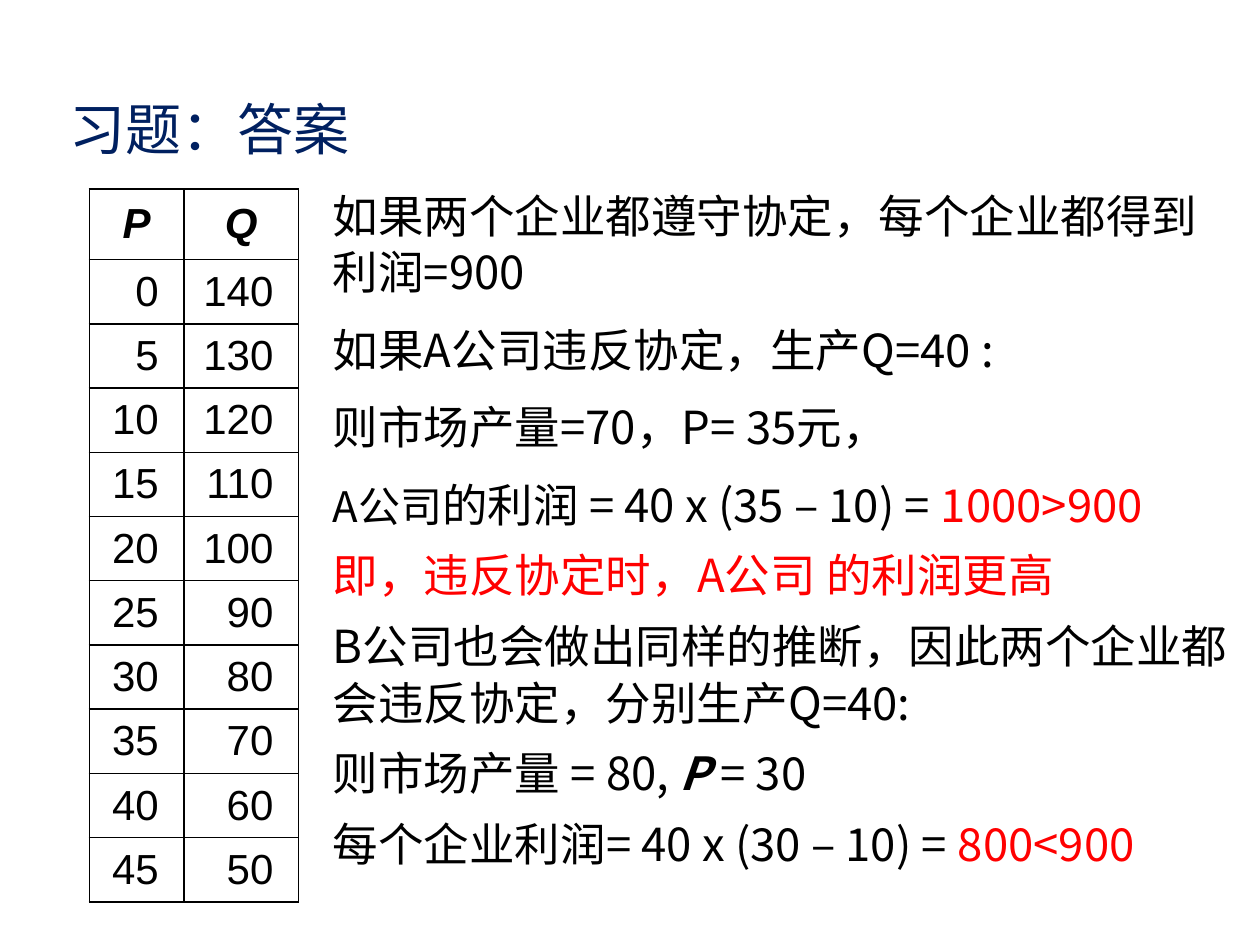
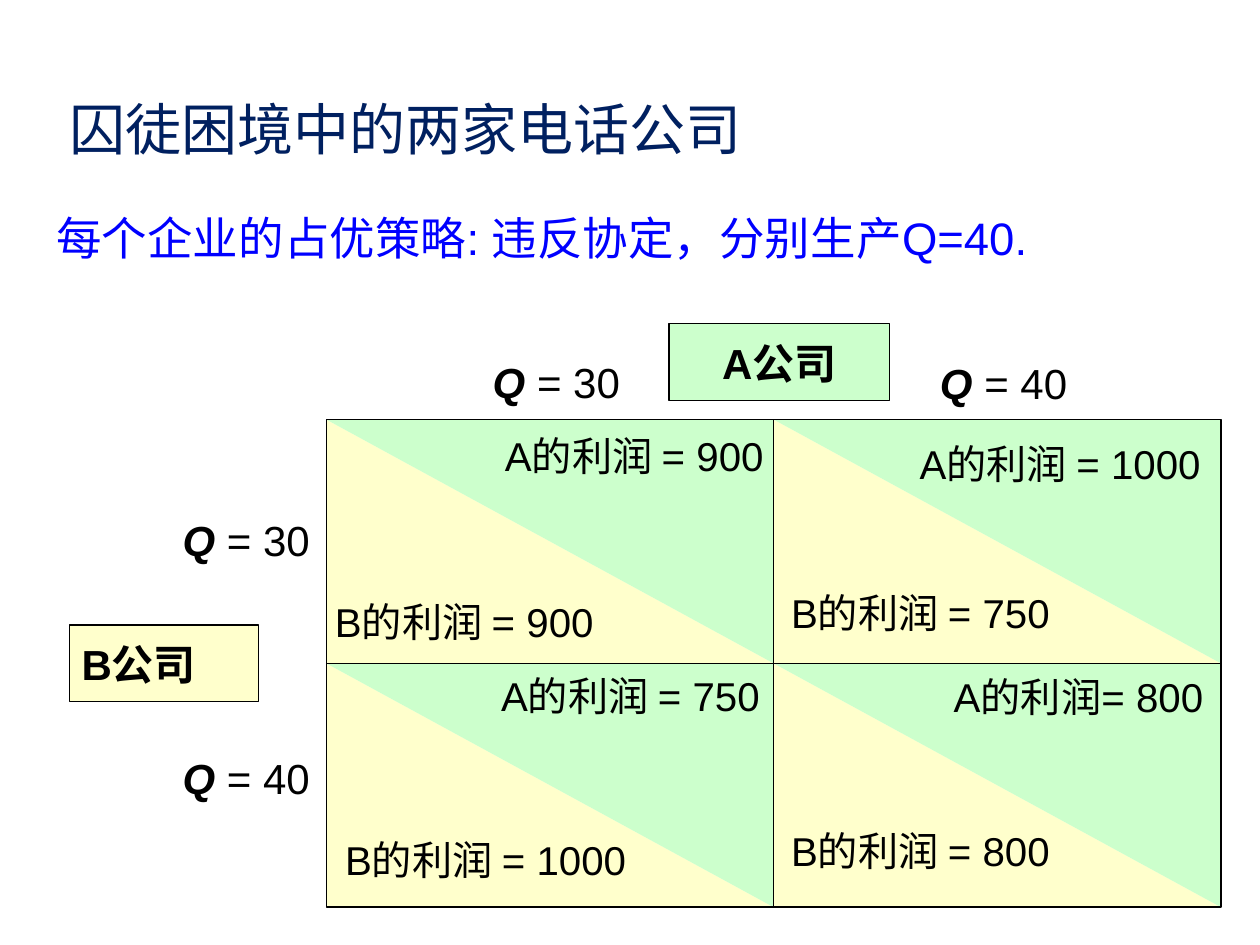
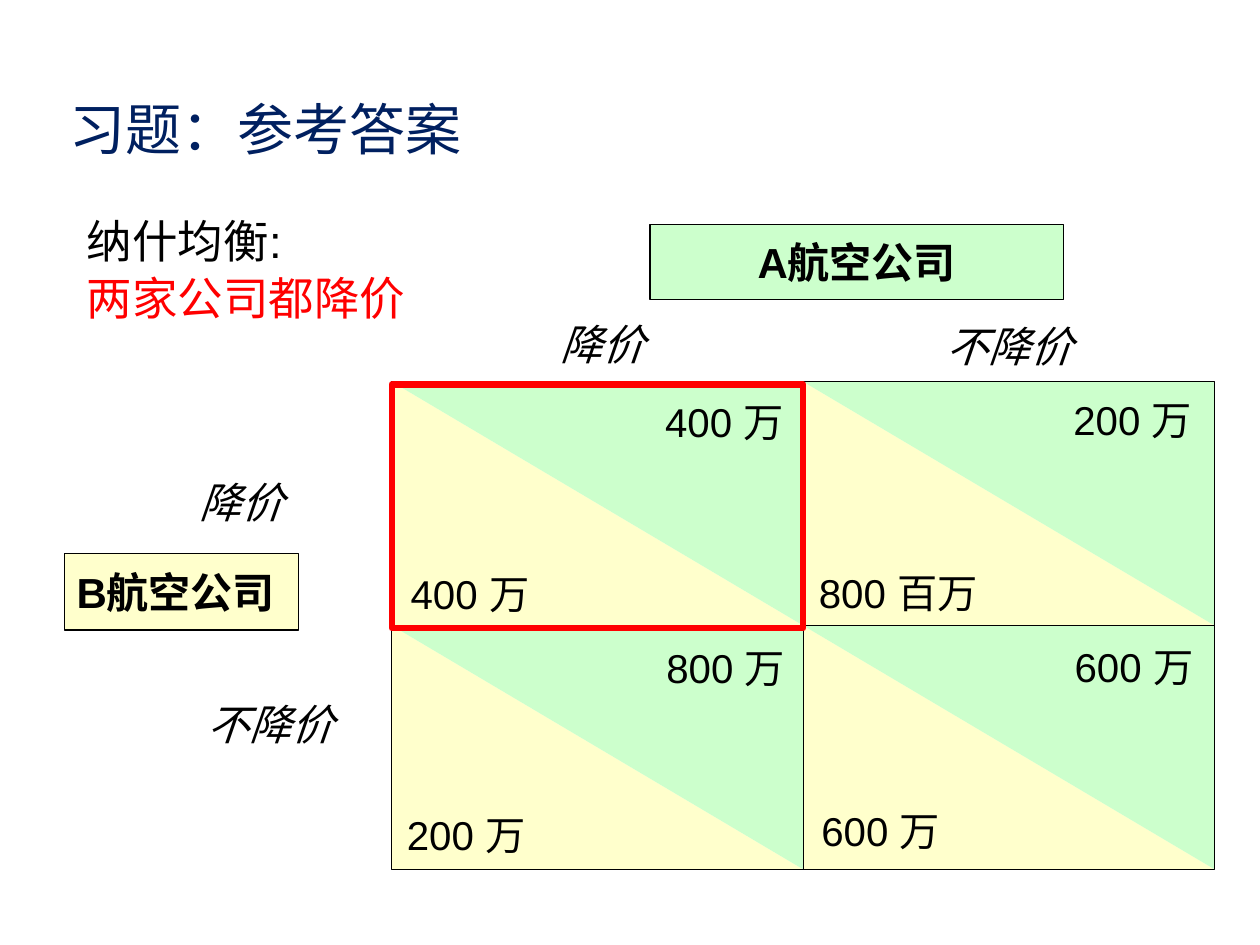
import pptx
import pptx.util
import pptx.dml.color
import pptx.enum.shapes
import pptx.enum.text
import pptx.oxml.ns
import lxml.etree

Inches, Pt = pptx.util.Inches, pptx.util.Pt
Shape = pptx.enum.shapes.MSO_SHAPE
Anchor = pptx.enum.text.MSO_ANCHOR
Align = pptx.enum.text.PP_ALIGN
LEFT, MID, RIGHT = Align.LEFT, Align.CENTER, Align.RIGHT
qn = pptx.oxml.ns.qn

HAN, LATIN = "Noto Sans CJK SC", "Arial"
BLACK, WHITE, RED, BLUE, NAVY = "000000", "FFFFFF", "FF0000", "0000FF", "002060"
GREEN, CREAM = "CCFFCC", "FFFFCC"
PITCH = 32.5  # line pitch of running text, points


# ---- shared helpers ----
def rgb(code):
    return pptx.dml.color.RGBColor.from_string(code)


def place(shape, box):
    shape.left, shape.top, shape.width, shape.height = map(Inches, box)


def write(para, runs, size, name=LATIN, color=BLACK, bold=False, slant=False,
          align=LEFT, before=0, pitch=None):
    """Fill a paragraph; each run is a string or (string, overrides)."""
    font = para.font
    font.size, font.name, font.bold, font.italic = Pt(size), name, bold, slant
    font.color.rgb = rgb(color)
    props = para._p.get_or_add_pPr().find(qn("a:defRPr"))
    lxml.etree.SubElement(props, qn("a:ea")).set("typeface", HAN)
    para.alignment = align
    para.space_before = Pt(before)
    if pitch:
        para.line_spacing = Pt(pitch)
    for item in [runs] if isinstance(runs, str) else runs:
        text, diff = (item, {}) if isinstance(item, str) else item
        if text == "\n":
            para.add_line_break()
            continue
        run = para.add_run()
        run.text = text
        if "size" in diff:
            run.font.size = Pt(diff["size"])
        if "color" in diff:
            run.font.color.rgb = rgb(diff["color"])
        if diff.get("strong"):
            run.font.bold = run.font.italic = True


def frame_up(frame, inset=None, anchor=Anchor.TOP):
    frame.word_wrap = True
    frame.auto_size = pptx.enum.text.MSO_AUTO_SIZE.NONE
    frame.vertical_anchor = anchor
    if inset is not None:
        frame.margin_left = frame.margin_right = Inches(inset)
        frame.margin_top = frame.margin_bottom = Inches(inset)
    return frame


def label(slide, box, runs, size, inset=None, **style):
    text = slide.shapes.add_textbox(*map(Inches, box))
    write(frame_up(text.text_frame, inset).paragraphs[0], runs, size, **style)


def block(shapes, kind, box, fill=None, line=None, width=0.75):
    shape = shapes.add_shape(kind, *map(Inches, box))
    shape.shadow.inherit = False
    if fill:
        shape.fill.solid()
        shape.fill.fore_color.rgb = rgb(fill)
    else:
        shape.fill.background()
    if line:
        shape.line.color.rgb = rgb(line)
        shape.line.width = Pt(width)
    else:
        shape.line.fill.background()
    return shape


def add_slide(deck, layout, title):
    slide = deck.slides.add_slide(deck.slide_layouts[layout])
    head = slide.shapes.title
    place(head, (0.45, 0.76, 7.79, 0.51))
    frame = frame_up(head.text_frame, anchor=Anchor.MIDDLE)
    write(frame.paragraphs[0], title, 32, HAN, NAVY)
    return slide


# ---- demand table ----
def edge(cell):
    props = cell._tc.get_or_add_tcPr()
    for spot, side in enumerate(("L", "R", "T", "B")):
        line = lxml.etree.Element(qn("a:ln" + side), w=str(Pt(1)))
        fill = lxml.etree.SubElement(line, qn("a:solidFill"))
        lxml.etree.SubElement(fill, qn("a:srgbClr"), val=BLACK)
        props.insert(spot, line)


def demand(slide, left, top):
    rows = [("P", "Q")] + [(str(p), str(140 - 2 * p)) for p in range(0, 50, 5)]
    box = (left, top, 1.66, 5.66)
    table = slide.shapes.add_table(len(rows), 2, *map(Inches, box)).table
    table.first_row = table.horz_banding = False
    for col, width in zip(table.columns, (0.75, 0.91)):
        col.width = Inches(width)
    for i, row in enumerate(rows):
        head = i == 0
        table.rows[i].height = Inches(0.56 if head else 0.51)
        for j, text in enumerate(row):
            cell = table.cell(i, j)
            cell.fill.solid()
            cell.fill.fore_color.rgb = rgb(WHITE)
            cell.vertical_anchor = Anchor.MIDDLE
            cell.margin_left = Inches(0 if head else 0.1)
            cell.margin_right = Inches(0 if head else 0.2)
            edge(cell)
            write(cell.text_frame.paragraphs[0], text, 24, bold=head,
                  slant=head, align=MID if head else RIGHT)


# ---- list of reasoning steps ----
def steps(slide, box, lines):
    body = slide.placeholders[1]
    place(body, box)
    frame = frame_up(body.text_frame)
    for i, (before, runs) in enumerate(lines):
        para = frame.add_paragraph() if i else frame.paragraphs[0]
        write(para, runs, 26, HAN, before=before, pitch=PITCH)
        props = para._p.get_or_add_pPr()
        props.set("marL", "0")
        props.set("indent", "0")
        mark = lxml.etree.Element(qn("a:buNone"))
        props.find(qn("a:defRPr")).addprevious(mark)


# ---- payoff matrix ----
def board(slide, box, notes):
    left, top, wide, high = box
    shapes = slide.shapes.add_group_shape().shapes
    w, h = wide / 2, high / 2
    for turn, fill in ((0, CREAM), (180, GREEN)):
        for i in range(4):
            cell = (left + i % 2 * w, top + i // 2 * h, w, h)
            block(shapes, Shape.RIGHT_TRIANGLE, cell, fill).rotation = turn
    rim = block(shapes, Shape.RECTANGLE, box, line=BLACK)
    for start, end in ((1, 3), (0, 2)):
        rule = shapes.add_connector(pptx.enum.shapes.MSO_CONNECTOR.STRAIGHT, 0, 0, 0, 0)
        rule.begin_connect(rim, start)
        rule.end_connect(rim, end)
        rule.line.color.rgb = rgb(BLACK)
        rule.line.width = Pt(0.75)
        lxml.etree.SubElement(rule._element.spPr, qn("a:effectLst"))
    # payoffs, offset from the corner of the matrix
    for dx, dy, width, text, align in notes:
        label(slide, (left + dx, top + dy, width, 0.49), text, 23, align=align)


def player(slide, box, text, fill, align):
    shape = block(slide.shapes, Shape.RECTANGLE, box, fill, BLACK)
    frame = frame_up(shape.text_frame, 0.1, Anchor.MIDDLE)
    write(frame.paragraphs[0], text, 24, bold=True, align=align)


def moves(slide, items, align, **style):
    for left, top, width, runs in items:
        label(slide, (left, top, width, 0.4), runs, 24, 0, align=align, **style)


# ---- slides ----
def answer(deck):
    slide = add_slide(deck, 1, "习题：答案")
    far, near = 11.7, 7.8
    red = {"color": RED}
    steps(slide, (2.54, 1.42, 7.34, 5.76), [
        (0, "如果两个企业都遵守协定，每个企业都得到利润=900"),
        (far, "如果A公司违反协定，生产Q=40 :"),
        (far, "则市场产量=70，P= 35元，"),
        (far, [("A公司", {"size": 24}), "的利润 = 40 x (35 – 10) = ", ("1000>900", red)]),
        (near, [("即，违反协定时，A公司 的利润更高", red)]),
        (near, "B公司也会做出同样的推断，因此两个企业都会违反协定，分别生产Q=40:"),
        (near, ["则市场产量 = 80, ", ("P ", {"strong": True}), "= 30"]),
        (near, ["每个企业利润= 40 x (30 – 10) = ", ("800<900", red)]),
    ])
    demand(slide, 0.71, 1.5)


def phones(deck):
    slide = add_slide(deck, 5, "囚徒困境中的两家电话公司")
    label(slide, (0.35, 1.62, 9.04, 0.63),
          "每个企业的占优策略: 违反协定，分别生产Q=40.", 26, color=BLUE)
    board(slide, (2.59, 3.33, 7.1, 3.87), [
        (1.15, 0.04, 2.42, "A的利润 = 900", RIGHT),
        (-0.03, 1.36, 2.46, "B的利润 = 900", LEFT),
        (4.61, 0.11, 2.46, "A的利润 = 1000", LEFT),
        (3.59, 1.29, 2.46, "B的利润 = 750", LEFT),
        (1.07, 1.95, 2.47, "A的利润 = 750", RIGHT),
        (0.05, 3.25, 2.92, "B的利润 = 1000", LEFT),
        (4.61, 1.96, 2.45, "A的利润= 800", RIGHT),
        (3.59, 3.18, 2.54, "B的利润 = 800", LEFT),
    ])
    low, high = ([("Q", {"strong": True}), f" = {n}"] for n in (30, 40))
    moves(slide, [(3.04, 2.83, 2.75, low), (6.57, 2.84, 2.79, high)], MID)
    moves(slide, [(1.3, 4.08, 1.16, low), (1.35, 5.97, 1.11, high)], RIGHT)
    player(slide, (5.31, 2.57, 1.75, 0.61), "A公司", GREEN, MID)
    player(slide, (0.55, 4.96, 1.5, 0.61), "B公司", CREAM, LEFT)


def fares(deck):
    slide = add_slide(deck, 5, "习题：参考答案")
    label(slide, (0.59, 1.62, 3.54, 1.12),
          ["纳什均衡:", "\n", ("两家公司都降价", {"color": RED})], 26, pitch=PITCH)
    left, top, wide, high = box = (3.11, 3.03, 6.53, 3.87)
    board(slide, box, [
        (1.3, 0.07, 1.91, "400 万", RIGHT),
        (0.05, 1.44, 2.09, "400 万", LEFT),
        (4.54, 0.06, 1.91, "200 万", RIGHT),
        (3.29, 1.43, 2.09, "800 百万", LEFT),
        (1.31, 2.03, 1.91, "800 万", RIGHT),
        (0.02, 3.35, 2.09, "200 万", LEFT),
        (4.55, 2.02, 1.91, "600 万", RIGHT),
        (3.31, 3.32, 2.09, "600 万", LEFT),
    ])
    moves(slide, [(3.41, 2.53, 2.75, "降价"), (6.62, 2.54, 2.79, "不降价"),
                  (0.85, 3.78, 2.13, "降价"), (1.32, 5.54, 1.66, "不降价")],
          MID, slant=True)
    player(slide, (5.16, 1.78, 3.28, 0.6), "A航空公司", GREEN, MID)
    player(slide, (0.51, 4.39, 1.86, 0.61), "B航空公司", CREAM, LEFT)
    # equilibrium cell
    block(slide.shapes, Shape.RECTANGLE, (left, top + 0.02, wide / 2, high / 2),
          line=RED, width=3.75)


def main():
    deck = pptx.Presentation()
    deck.slide_width, deck.slide_height = Inches(10), Inches(7.5)
    for build in (answer, phones, fares):
        build(deck)
    deck.save("out.pptx")


if __name__ == "__main__":
    main()
